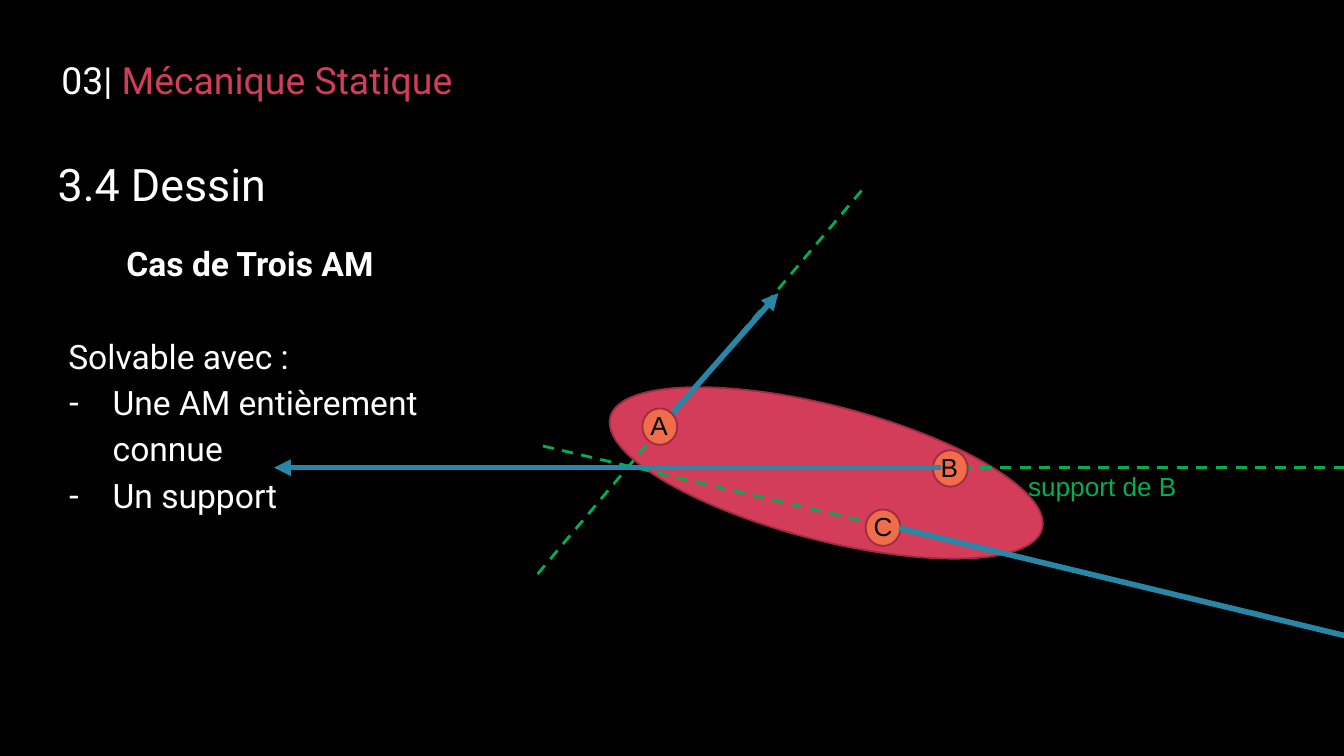
from dataclasses import dataclass
from typing import Optional

from pptx import Presentation
from pptx.dml.color import RGBColor
from pptx.enum.dml import MSO_LINE
from pptx.enum.shapes import MSO_CONNECTOR, MSO_SHAPE
from pptx.enum.text import MSO_ANCHOR, MSO_AUTO_SIZE, PP_ALIGN
from pptx.oxml.ns import qn
from pptx.util import Cm, Pt


@dataclass(frozen=True)
class Theme:
    background: str = "000000"
    text: str = "FFFFFF"
    accent: str = "D33D59"
    outline: str = "9C2D42"
    point: str = "F16D49"
    support: str = "00B050"
    force: str = "2886A6"
    label: str = "000000"
    font: str = "Roboto"
    label_font: str = "Arial"
    title_size: int = 24
    header_size: int = 20
    body_size: int = 18
    label_size: int = 14


THEME = Theme()


@dataclass(frozen=True)
class Para:
    text: str
    size: int
    color: str = THEME.text
    bold: bool = False
    align: PP_ALIGN = PP_ALIGN.LEFT
    margin: float = 0
    indent: float = 0
    bullet: Optional[str] = None
    before: int = 0
    spacing: float = 1.15


@dataclass(frozen=True)
class Line:
    start: tuple[float, float]
    end: tuple[float, float]


@dataclass(frozen=True)
class Point:
    name: str
    left: float
    top: float


def rgb(color: str) -> RGBColor:
    return RGBColor.from_string(color)


def set_attrs(target, values: dict) -> None:
    for name, value in values.items():
        setattr(target, name, value)


def set_font(font, name: str, size: int, color: str, bold: bool = False) -> None:
    set_attrs(font, {"name": name, "size": Pt(size), "bold": bold})
    font.color.rgb = rgb(color)


def fill_placeholder(sp, box: tuple, paras: list[Para], anchor=MSO_ANCHOR.TOP) -> None:
    set_attrs(sp, dict(zip(("left", "top", "width", "height"), map(Cm, box))))
    tf = sp.text_frame
    set_attrs(tf, {"word_wrap": True, "auto_size": MSO_AUTO_SIZE.NONE,
                   "vertical_anchor": anchor})
    for side in ("left", "top", "right", "bottom"):
        setattr(tf, f"margin_{side}", Cm(0.25))
    for i, para in enumerate(paras):
        p = tf.paragraphs[0] if i == 0 else tf.add_paragraph()
        set_attrs(p, {"alignment": para.align, "line_spacing": para.spacing,
                      "space_before": Pt(para.before), "space_after": Pt(0)})
        pPr = p._p.get_or_add_pPr()
        pPr.set("marL", str(Cm(para.margin)))
        pPr.set("indent", str(Cm(para.indent)))
        if para.bullet:
            pPr.append(pPr.makeelement(qn("a:buChar"), {"char": para.bullet}))
        else:
            pPr.append(pPr.makeelement(qn("a:buNone"), {}))
        r = p.add_run()
        r.text = para.text
        set_font(r.font, THEME.font, para.size, para.color, para.bold)


def add_ellipse(slide, box: tuple, color: str, rotation: float = 0) -> None:
    sp = slide.shapes.add_shape(MSO_SHAPE.OVAL, *map(Cm, box))
    sp.rotation = rotation
    sp.shadow.inherit = False
    sp.fill.solid()
    sp.fill.fore_color.rgb = rgb(color)
    sp.line.color.rgb = rgb(THEME.outline)
    sp.line.width = Pt(1)


def add_line(slide, line: Line, color: str, width: float):
    cx = slide.shapes.add_connector(MSO_CONNECTOR.STRAIGHT,
                                    *map(Cm, line.start + line.end))
    cx.line.color.rgb = rgb(color)
    cx.line.width = Pt(width)
    spPr = cx._element.spPr
    spPr.append(spPr.makeelement(qn("a:effectLst"), {}))
    return cx


def add_support(slide, line: Line) -> None:
    add_line(slide, line, THEME.support, 1.5).line.dash_style = MSO_LINE.DASH


def add_force(slide, line: Line) -> None:
    ln = add_line(slide, line, THEME.force, 3).line._get_or_add_ln()
    ln.append(ln.makeelement(qn("a:tailEnd"), {"type": "triangle"}))


def add_label(slide, text: str, left: float, top: float, width: float, color: str) -> None:
    tf = slide.shapes.add_textbox(Cm(left), Cm(top), Cm(width), Cm(0.86)).text_frame
    set_attrs(tf, {"word_wrap": False, "auto_size": MSO_AUTO_SIZE.SHAPE_TO_FIT_TEXT})
    r = tf.paragraphs[0].add_run()
    r.text = text
    set_font(r.font, THEME.label_font, THEME.label_size, color)


def add_point(slide, point: Point) -> None:
    add_ellipse(slide, (point.left, point.top, 0.66, 0.69), THEME.point)
    add_label(slide, point.name, point.left - 0.1, point.top - 0.1, 0.84, THEME.label)


SUPPORTS = [
    Line((10.16, 10.85), (16.36, 3.51)),
    Line((8.51, 8.84), (26.01, 8.84)),
    Line((10.26, 8.43), (23.93, 11.63)),
]
FORCE_A = Line((12.47, 8.08), (14.71, 5.54))
FORCE_B = Line((17.78, 8.84), (5.18, 8.84))
FORCE_C = Line((16.99, 9.98), (27.51, 12.52))
POINTS = [Point("A", 12.14, 7.72), Point("B", 17.63, 8.51), Point("C", 16.36, 9.63)]


def main() -> None:
    prs = Presentation()
    prs.slide_width, prs.slide_height = Cm(25.4), Cm(14.29)
    slide = prs.slides.add_slide(prs.slide_layouts.get_by_name("Comparison"))
    slide.background.fill.solid()
    slide.background.fill.fore_color.rgb = rgb(THEME.background)

    # Title, list and the two parts of the header
    title, number, body, chapter, spare = slide.placeholders
    fill_placeholder(title, (0.84, 1.96, 7.8, 2.26),
                     [Para("3.4 Dessin", THEME.title_size, spacing=1)],
                     MSO_ANCHOR.BOTTOM)
    size = THEME.body_size
    item = {"margin": 1.27, "indent": -0.84, "bullet": "-"}
    fill_placeholder(body, (0.61, 4.22, 7.8, 8.1), [
        Para("Cas de Trois AM", size, bold=True, align=PP_ALIGN.CENTER, margin=0.43),
        Para("Solvable avec :", size, margin=0.43, before=25),
        Para("Une AM entièrement connue", size, **item),
        Para("Un support", size, **item),
    ])
    fill_placeholder(number, (0.61, 0.71, 2.03, 1.24),
                     [Para("03|", THEME.header_size, margin=0.3)])
    fill_placeholder(chapter, (1.75, 0.71, 8.03, 1.24),
                     [Para("Mécanique Statique", THEME.header_size, THEME.accent,
                           margin=0.3)])
    spare._element.getparent().remove(spare._element)

    # Solid body with the supports and the force behind point A
    add_ellipse(slide, (11.4, 7.67, 8.43, 2.54), THEME.accent, 14.5)
    for support in SUPPORTS:
        add_support(slide, support)
    add_force(slide, FORCE_A)

    # Points and labels, then the forces that start on top of them
    for point in POINTS:
        add_point(slide, point)
    add_label(slide, "support de B", 19.18, 8.76, 3.33, THEME.support)
    for force in (FORCE_C, FORCE_B):
        add_force(slide, force)

    prs.save("out.pptx")


if __name__ == "__main__":
    main()
